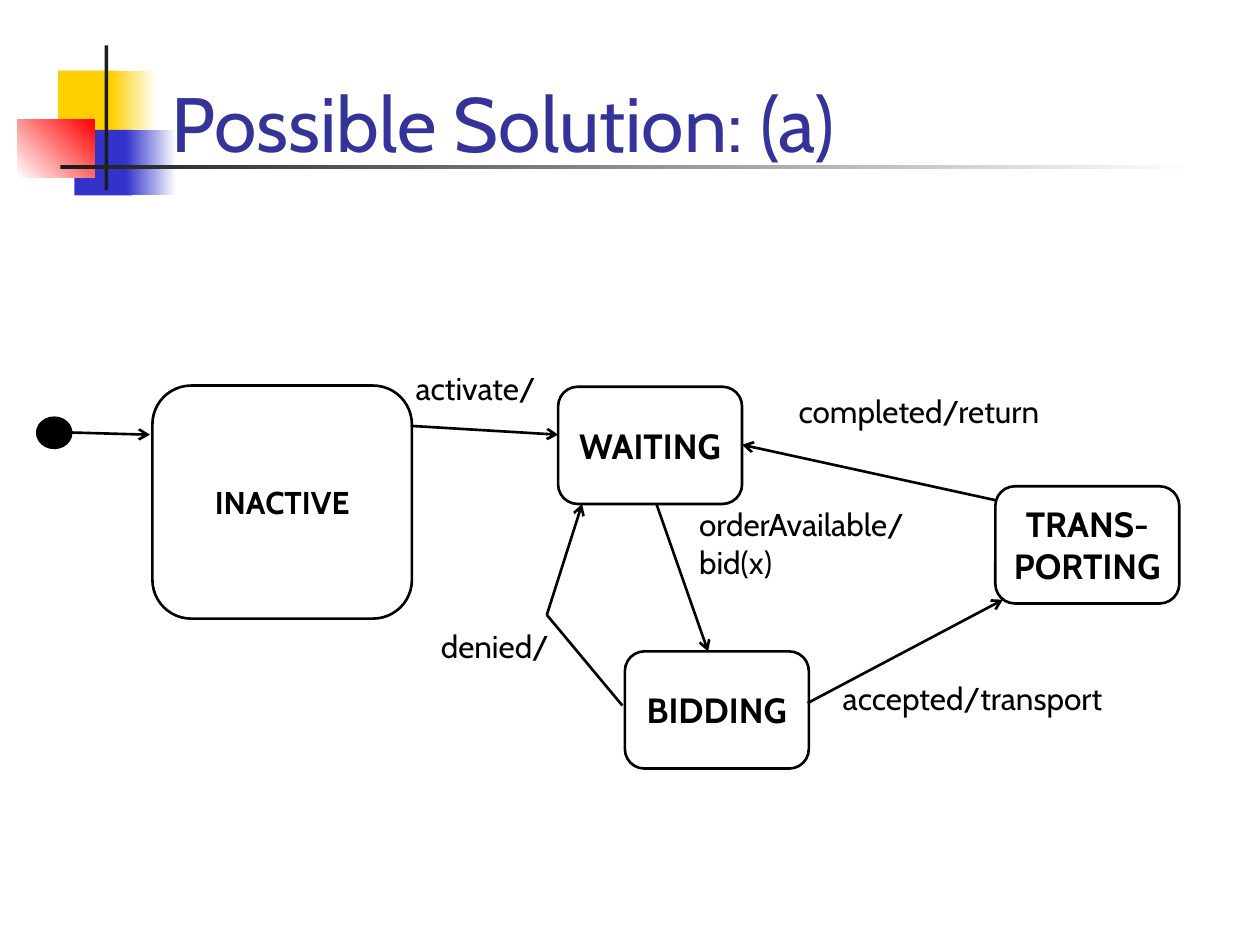
from lxml.etree import SubElement
from pptx import Presentation
from pptx.dml.color import RGBColor
from pptx.enum.shapes import MSO_CONNECTOR, MSO_SHAPE
from pptx.enum.text import MSO_ANCHOR, MSO_AUTO_SIZE, PP_ALIGN
from pptx.oxml.ns import qn
from pptx.util import Inches, Pt

FONT = "Cabin"
BLACK, WHITE, CHARCOAL = "000000", "FFFFFF", "1C1C1C"
YELLOW, BLUE, RED, INDIGO = "FFCF01", "3333CC", "FF0000", "333399"
WIDTH, HEIGHT = 10, 7.5
STATE_SIZE = (1.46, 0.93)


def color(value):
    """Turn a hex string into a colour."""
    return RGBColor.from_string(value)


def add_block(slide, box, colors, angle=0):
    """Add a borderless rectangle, solid or fading between two colours."""
    block = slide.shapes.add_shape(MSO_SHAPE.RECTANGLE, *map(Inches, box))
    block.shadow.inherit = False
    block.line.fill.background()
    if len(colors) == 1:
        block.fill.solid()
        block.fill.fore_color.rgb = color(colors[0])
        return
    block.fill.gradient()
    block.fill.gradient_angle = angle
    for stop, value, position in zip(block.fill.gradient_stops, colors, (0, 1)):
        stop.color.rgb = color(value)
        stop.position = position


def write(frame, text, size, ink=BLACK, bold=False, align=PP_ALIGN.LEFT):
    """Fill a text frame with one paragraph per line of text."""
    frame.text = text
    for paragraph in frame.paragraphs:
        paragraph.alignment = align
        paragraph.font.name = FONT
        paragraph.font.size = Pt(size)
        paragraph.font.bold = bold
        paragraph.font.color.rgb = color(ink)


def add_title(slide, text):
    """Add the slide title, resting on the rule."""
    title = slide.shapes.add_textbox(*map(Inches, (1.26, 0.39, 8.52, 0.99)))
    title.text_frame.word_wrap = True
    title.text_frame.vertical_anchor = MSO_ANCHOR.BOTTOM
    write(title.text_frame, text, 44, INDIGO)


def add_state(slide, name, corner, extent=STATE_SIZE, size=20):
    """Add a rounded, outlined state with its name in the middle."""
    state = slide.shapes.add_shape(
        MSO_SHAPE.ROUNDED_RECTANGLE, *map(Inches, corner + extent))
    state.shadow.inherit = False
    state.fill.background()
    state.line.color.rgb = color(BLACK)
    state.line.width = Pt(1.5)
    state.text_frame.word_wrap = False
    state.text_frame.vertical_anchor = MSO_ANCHOR.MIDDLE
    write(state.text_frame, name, size, bold=True, align=PP_ALIGN.CENTER)


def add_start(slide, box):
    """Add the filled dot of the initial state."""
    start = slide.shapes.add_shape(MSO_SHAPE.OVAL, *map(Inches, box))
    start.shadow.inherit = False
    start.fill.solid()
    start.fill.fore_color.rgb = color(BLACK)
    start.line.color.rgb = color(BLACK)
    start.line.width = Pt(0.75)


def add_transition(slide, *points):
    """Join the points with lines and put an arrowhead on the last one."""
    for begin, end in zip(points, points[1:]):
        leg = slide.shapes.add_connector(
            MSO_CONNECTOR.STRAIGHT, *map(Inches, begin + end))
        leg.line.color.rgb = color(BLACK)
        leg.line.width = Pt(1.5)
        if end == points[-1]:
            SubElement(leg.line._get_or_add_ln(), qn("a:tailEnd"), type="arrow")
        SubElement(leg._element.spPr, qn("a:effectLst"))


def add_label(slide, text, box):
    """Add the event and action of a transition."""
    label = slide.shapes.add_textbox(*map(Inches, box))
    label.text_frame.word_wrap = False
    label.text_frame.auto_size = MSO_AUTO_SIZE.SHAPE_TO_FIT_TEXT
    write(label.text_frame, text, 18)


def add_ornament(slide):
    """Add the coloured blocks and the crossing rules beside the title."""
    add_block(slide, (0.46, 0.56, 0.48, 0.52), [YELLOW])
    add_block(slide, (0.88, 0.56, 0.36, 0.52), [YELLOW, WHITE])
    add_block(slide, (0.59, 1.03, 0.46, 0.52), [BLUE])
    add_block(slide, (1, 1.03, 0.4, 0.52), [BLUE, WHITE])
    add_block(slide, (0.14, 0.95, 0.61, 0.46), [WHITE, RED], 45)
    add_block(slide, (0.83, 0.36, 0.03, 1.15), [CHARCOAL])
    add_block(slide, (0.48, 1.31, 9, 0.03), [CHARCOAL, WHITE])


def main():
    """Build the state diagram slide."""
    deck = Presentation()
    deck.slide_width, deck.slide_height = Inches(WIDTH), Inches(HEIGHT)
    slide = deck.slides.add_slide(deck.slide_layouts[6])
    add_ornament(slide)
    add_title(slide, "Possible Solution: (a)")

    add_state(slide, "INACTIVE", (1.21, 3.06), (2.06, 1.85), 18)
    add_state(slide, "WAITING", (4.43, 3.07))
    add_state(slide, "BIDDING", (4.96, 5.17))
    add_state(slide, "TRANS-\nPORTING", (7.9, 3.86))
    add_start(slide, (0.29, 3.31, 0.28, 0.25))

    add_transition(slide, (0.47, 3.43), (1.19, 3.45))
    add_transition(slide, (3.26, 3.38), (4.43, 3.45))
    add_transition(slide, (5.21, 4), (5.62, 5.17))
    add_transition(slide, (6.41, 5.58), (7.96, 4.76))
    add_transition(slide, (7.9, 3.97), (5.89, 3.53))
    add_transition(slide, (4.94, 5.6), (4.34, 4.88), (4.62, 4))

    add_label(slide, "activate/", (3.2, 2.88, 1.33, 0.5))
    add_label(slide, "orderAvailable/\nbid(x)", (5.45, 3.96, 2.29, 0.9))
    add_label(slide, "accepted/transport", (6.59, 5.34, 2.3, 0.4))
    add_label(slide, "completed/return", (6.24, 3.06, 2.13, 0.4))
    add_label(slide, "denied/", (3.4, 4.93, 1.18, 0.5))
    deck.save("out.pptx")


main()
